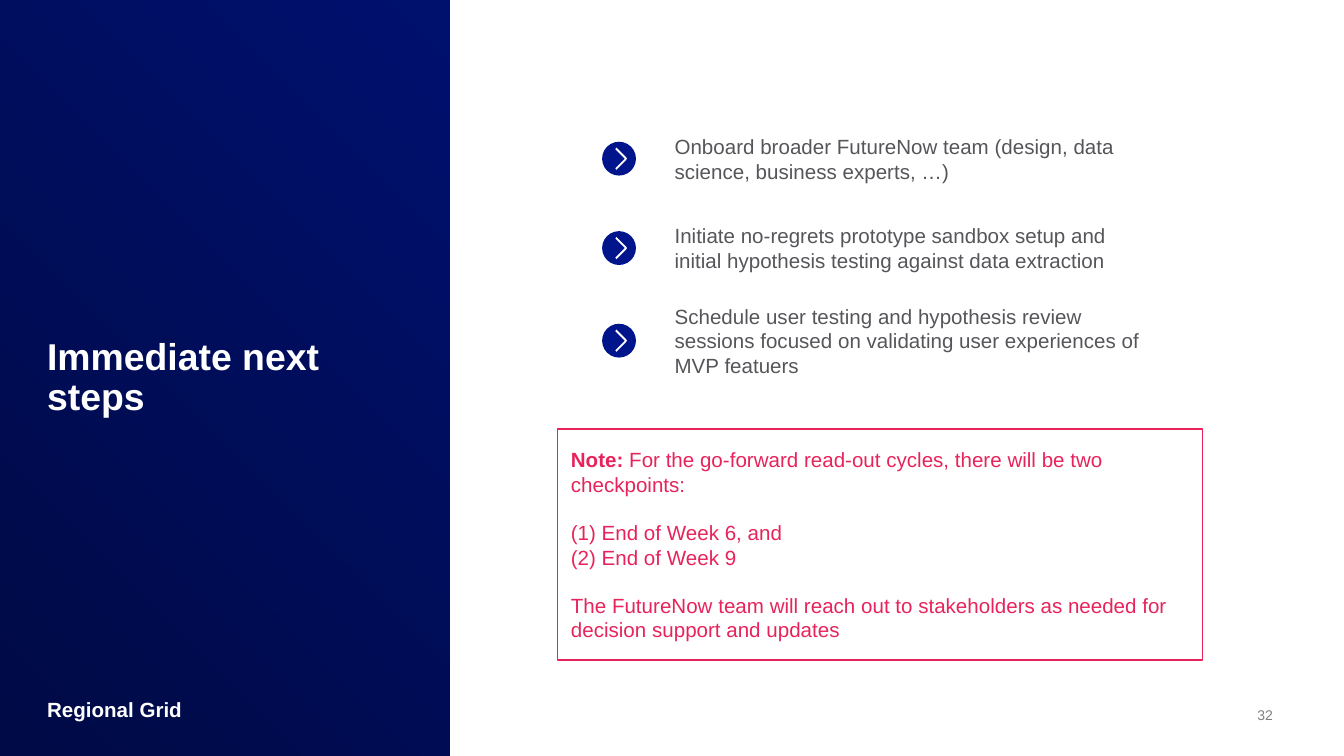
from pptx import Presentation
from pptx.util import Cm, Pt
from pptx.dml.color import RGBColor as RGB
from pptx.enum.shapes import MSO_SHAPE as Kind
from pptx.enum.text import MSO_ANCHOR as Anchor, MSO_AUTO_SIZE as Fit, PP_ALIGN as Align

HUES = {
    "blue": "00148C",
    "navy": "000A46",
    "white": "FFFFFF",
    "text": "55555A",
    "grey": "808080",
    "pink": "E8235C",
}
FONT = "Arial"

# Centre height in cm and wording of each step
STEPS = [
    (3.0, "Onboard broader FutureNow team (design, data science, business experts, …)"),
    (4.69, "Initiate no-regrets prototype sandbox setup and initial hypothesis "
           "testing against data extraction"),
    (6.44, "Schedule user testing and hypothesis review sessions focused on "
           "validating user experiences of MVP featuers"),
]

# Space before in points and runs (text, bold) of each note paragraph
NOTE = [
    (0, [("Note: ", True),
         ("For the go-forward read-out cycles, there will be two checkpoints:", False)]),
    (12.6, [("(1) End of Week 6, and", False)]),
    (0, [("(2) End of Week 9", False)]),
    (12.6, [("The FutureNow team will reach out to stakeholders as needed for "
             "decision support and updates", False)]),
]

# Chevron outline in cm from the corner of its disc
ARROW = [(0.27, 0.11), (0.25, 0.14), (0.43, 0.32), (0.25, 0.5),
         (0.27, 0.53), (0.45, 0.35), (0.47, 0.32), (0.45, 0.29)]


def hue(name):
    return RGB.from_string(HUES[name])


def style(para, size, color, bold=None, align=Align.LEFT):
    para.alignment = align
    font = para.font
    font.name, font.size, font.bold = FONT, Pt(size), bold
    font.color.rgb = hue(color)


def paint(shape, color):
    shape.shadow.inherit = False
    shape.fill.solid()
    shape.fill.fore_color.rgb = hue(color)
    shape.line.fill.background()


def set_frame(frame, anchor, inset=True):
    frame.word_wrap = True
    frame.auto_size = Fit.NONE
    frame.vertical_anchor = anchor
    if not inset:
        frame.margin_left = frame.margin_right = 0
        frame.margin_top = frame.margin_bottom = 0


def add_text(slide, box, text, size, color, anchor=Anchor.BOTTOM, inset=False, **look):
    frame = slide.shapes.add_textbox(*map(Cm, box)).text_frame
    set_frame(frame, anchor, inset)
    frame.text = text
    style(frame.paragraphs[0], size, color, **look)


def add_back(slide):
    fill = slide.background.fill
    fill.gradient()
    fill.gradient_angle = 225
    for stop, name in zip(fill.gradient_stops, ("blue", "navy")):
        stop.color.rgb = hue(name)
    panel = slide.shapes.add_shape(Kind.RECTANGLE, Cm(8.51), 0, Cm(16.89), Cm(14.29))
    paint(panel, "white")


def add_title(slide, text):
    title = slide.shapes.title
    title.left, title.top, title.width, title.height = map(Cm, (0.89, 5.59, 6.93, 3.12))
    set_frame(title.text_frame, Anchor.MIDDLE, inset=False)
    title.text_frame.text = text
    para = title.text_frame.paragraphs[0]
    para.line_spacing = 0.9
    style(para, 20, "white", bold=True)


def add_icon(slide, left, mid):
    size = 0.64
    top = mid - size / 2
    group = slide.shapes.add_group_shape().shapes
    paint(group.add_shape(Kind.OVAL, Cm(left), Cm(top), Cm(size), Cm(size)), "blue")
    points = [(Cm(left + x), Cm(top + y)) for x, y in ARROW]
    pen = group.build_freeform(*points[0])
    pen.add_line_segments(points[1:], close=True)
    paint(pen.convert_to_shape(), "white")


def add_step(slide, mid, text):
    high = 1.04
    add_icon(slide, 11.38, mid)
    add_text(slide, (12.5, mid - high / 2, 9.63, high), text, 11, "text",
             anchor=Anchor.MIDDLE, inset=True)


def add_note(slide):
    box = slide.shapes.add_shape(Kind.RECTANGLE, Cm(10.54), Cm(8.11), Cm(12.19), Cm(4.37))
    box.shadow.inherit = False
    box.fill.background()
    box.line.color.rgb = hue("pink")
    box.line.width = Pt(0.75)
    frame = box.text_frame
    set_frame(frame, Anchor.MIDDLE)
    for i, (gap, runs) in enumerate(NOTE):
        para = frame.add_paragraph() if i else frame.paragraphs[0]
        para.space_before = Pt(gap)
        style(para, 11, "pink")
        for text, bold in runs:
            run = para.add_run()
            run.text = text
            run.font.bold = bold


def main():
    deck = Presentation()
    deck.slide_width, deck.slide_height = Cm(25.4), Cm(14.29)
    slide = deck.slides.add_slide(deck.slide_layouts[5])

    # Blue side with title, white side with content
    add_back(slide)
    add_title(slide, "Immediate next steps")

    # Footer
    add_text(slide, (23.27, 13.34, 0.79, 0.33), "32", 7.5, "grey", align=Align.RIGHT)
    add_text(slide, (0.89, 13.16, 4, 0.48), "Regional Grid", 11, "white", bold=True)

    # Steps and note
    for mid, text in STEPS:
        add_step(slide, mid, text)
    add_note(slide)

    deck.save("out.pptx")


if __name__ == "__main__":
    main()
